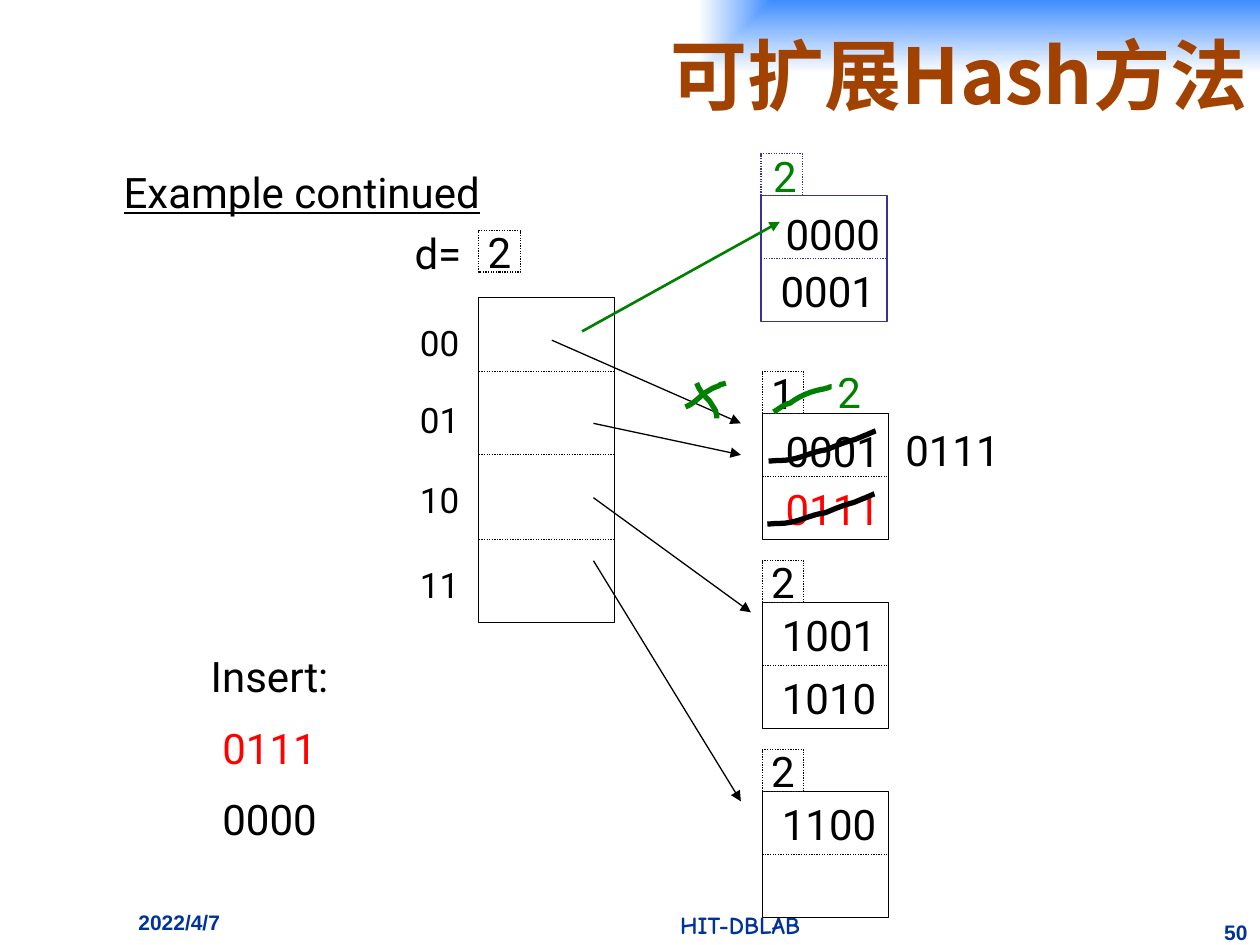
from dataclasses import dataclass

from lxml.etree import SubElement
from pptx import Presentation
from pptx.dml.color import RGBColor
from pptx.enum.dml import MSO_LINE
from pptx.enum.shapes import MSO_CONNECTOR, MSO_SHAPE
from pptx.enum.text import MSO_ANCHOR, MSO_AUTO_SIZE, PP_ALIGN
from pptx.oxml.ns import qn
from pptx.util import Inches, Pt


@dataclass(frozen=True)
class Theme:
    black: str = "000000"
    white: str = "FFFFFF"
    red: str = "FF0000"
    green: str = "008000"
    indigo: str = "333399"
    footer: str = "003399"
    title: str = "A24200"
    title_glow: str = "3F8DFF"
    font: str = "Roboto"
    title_font: str = "Noto Sans CJK SC"
    title_size: int = 44
    body_size: int = 24
    index_size: int = 20
    lab_size: int = 14
    footer_size: int = 12
    thin: float = 0.75
    arrow: float = 1.5
    pen: int = 3


theme = Theme()
prs = Presentation()
prs.slide_width, prs.slide_height = Inches(10), Inches(7.5)
slide = prs.slides.add_slide(prs.slide_layouts[5])
shapes = slide.shapes


def write(box, text, size=theme.body_size, colors=(theme.black,), font=theme.font,
          align=PP_ALIGN.CENTER, anchor=MSO_ANCHOR.MIDDLE, wrap=False,
          bold=False, underline=None, gap=0, spacing=()):
    """One paragraph per line of text; the last colour serves the remaining lines."""
    frame = box.text_frame
    frame.word_wrap, frame.vertical_anchor = wrap, anchor
    frame.auto_size = MSO_AUTO_SIZE.NONE
    for i, line in enumerate(text.split("\n")):
        paragraph = frame.add_paragraph() if i else frame.paragraphs[0]
        paragraph.alignment = align
        if i:
            paragraph.space_before = Pt(gap)
        if i < len(spacing):
            paragraph.line_spacing = spacing[i]
        run = paragraph.add_run()
        run.text = line
        run.font.size, run.font.name = Pt(size), font
        run.font.bold, run.font.underline = bold, underline
        run.font.color.rgb = RGBColor.from_string(colors[min(i, len(colors) - 1)])
        SubElement(run._r.get_or_add_rPr(), qn("a:ea"), typeface=font)


def connect(start, end, color=theme.black, width=theme.thin, arrow=False):
    """An arrow, or else a dotted divider."""
    line = shapes.add_connector(MSO_CONNECTOR.STRAIGHT, *map(Inches, start + end))
    line.line.color.rgb = RGBColor.from_string(color)
    line.line.width = Pt(width)
    if arrow:
        SubElement(line.line._get_or_add_ln(), qn("a:tailEnd"), type="triangle")
    else:
        line.line.dash_style = MSO_LINE.ROUND_DOT
    SubElement(line._element.spPr, qn("a:effectLst"))
    return line


# Title with a glow from the top right corner
title = shapes.title
title.left, title.top, title.width, title.height = map(Inches, (1.08, 0, 8.92, 1.17))
title.fill.gradient()
for stop, color, position in zip(title.fill.gradient_stops,
                                 (theme.title_glow, theme.white), (0, 1)):
    stop.color.rgb = RGBColor.from_string(color)
    stop.position = position
gradient = title._element.spPr.find(qn("a:gradFill"))
gradient.remove(gradient.find(qn("a:lin")))
glow = SubElement(gradient, qn("a:path"), {"path": "rect"})
SubElement(glow, qn("a:fillToRect"), l="100000", b="100000")
write(title, "可扩展Hash方法", size=theme.title_size, colors=(theme.title,),
      font=theme.title_font, align=PP_ALIGN.RIGHT, wrap=True, bold=True)

# Footer
for text, place, size, font, align in (
    ("2022/4/7", (1, 7.17, 1.75, 0.33), theme.footer_size, "Arial", PP_ALIGN.LEFT),
    ("HIT-DBLAB", (3.5, 7.17, 4.75, 0.33), theme.lab_size, "Comic Neue", PP_ALIGN.CENTER),
    ("50", (9.58, 7.25, 0.42, 0.25), theme.footer_size, "Arial", PP_ALIGN.RIGHT),
):
    write(shapes.add_textbox(*map(Inches, place)), text, size=size, font=font,
          colors=(theme.footer,), align=align, anchor=MSO_ANCHOR.TOP,
          wrap=True, bold=True)

# Directory and buckets, each with its depth tag: left, top, width, height, tag top
TAG = 0.33
tables = (
    (3.8, 2.36, 1.08, 2.58, 1.83, "2", theme.black),
    (6.04, 1.55, 1, 1, 1.22, "", theme.indigo),
    (6.05, 3.28, 1, 1, 2.95, "1", theme.black),
    (6.05, 4.78, 1, 1, 4.45, "2", theme.black),
    (6.05, 6.28, 1, 1, 5.95, "2", theme.black),
)
for left, top, width, height, tag_top, depth, color in tables:
    table = shapes.add_shape(MSO_SHAPE.RECTANGLE, *map(Inches, (left, top, width, height)))
    tag = shapes.add_shape(MSO_SHAPE.RECTANGLE, *map(Inches, (left, tag_top, TAG, TAG)))
    for outline in (table, tag):
        outline.shadow.inherit = False
        outline.fill.solid()
        outline.fill.fore_color.rgb = RGBColor.from_string(theme.white)
        outline.line.color.rgb = RGBColor.from_string(color)
        outline.line.width = Pt(theme.thin)
    tag.line.dash_style = MSO_LINE.ROUND_DOT
    if depth:
        write(tag, depth)
    if height == 1:
        middle = top + height / 2
        divider = connect((left, middle), (left + width, middle), color)
        divider.begin_connect(table, 1)
        divider.end_connect(table, 3)
for row_top in (2.95, 3.61, 4.28):
    connect((3.8, row_top), (4.88, row_top))

# Bucket keys
for key, left, top, color in (
    ("0000", 6.08, 1.6, theme.black),
    ("0001", 6.04, 2.05, theme.black),
    ("0001", 6.08, 3.32, theme.black),
    ("0111", 6.08, 3.78, theme.red),
    ("0111", 7.03, 3.31, theme.black),
    ("1001", 6.05, 4.78, theme.black),
    ("1010", 6.05, 5.28, theme.black),
    ("1100", 6.05, 6.28, theme.black),
):
    write(shapes.add_textbox(*map(Inches, (left, top, 1.06, 0.51))), key, colors=(color,))

# Captions, directory index and new depths
for text, place, style in (
    ("Example continued", (0.68, 1.27, 3.43, 0.51), {"underline": True}),
    ("d=", (3.13, 1.75, 0.69, 0.51), {}),
    ("Insert:\n0111\n0000", (1.46, 5.07, 1.36, 1.72),
     {"colors": (theme.black, theme.red, theme.black), "gap": 12}),
    ("00\n01\n10\n11", (3.21, 2.45, 0.56, 2.46),
     {"size": theme.index_size, "gap": 10, "spacing": (1.0, 1.4, 1.5, 1.6)}),
    ("2", (6.02, 1.14, 0.42, 0.51), {"colors": (theme.green,)}),
    ("2", (6.53, 2.85, 0.42, 0.51), {"colors": (theme.green,)}),
):
    write(shapes.add_textbox(*map(Inches, place)), text, **style)

# Pointers from the directory to the buckets
for start, end in (
    ((4.38, 2.7), (5.88, 3.36)),
    ((4.71, 3.36), (5.88, 3.61)),
    ((4.71, 3.95), (5.96, 4.86)),
    ((4.71, 4.45), (5.88, 6.36)),
):
    connect(start, end, arrow=True)
connect((4.62, 2.63), (6.19, 1.76), theme.green, theme.arrow, arrow=True)

# Pen strokes: Bezier control points, three for each curve after the start
key_strike = ((0, 0.24), (0.12, 0.23), (0.12, 0.24), (0.21, 0.22), (0.29, 0.2),
              (0.37, 0.16), (0.46, 0.15), (0.53, 0.12), (0.6, 0.09), (0.68, 0.07),
              (0.71, 0.06), (0.75, 0.04), (0.78, 0.03), (0.8, 0.02), (0.85, 0), (0.85, 0))
cross_rising = ((0, 0.19), (0.08, 0.16), (0.12, 0.09), (0.2, 0.05), (0.23, 0.03),
                (0.26, 0.03), (0.28, 0.01), (0.3, 0.01), (0.32, 0), (0.32, 0))
cross_falling = ((0, 0), (0.02, 0.06), (0.06, 0.1), (0.1, 0.14), (0.12, 0.17),
                 (0.15, 0.22), (0.15, 0.22), (0.16, 0.27), (0.16, 0.25), (0.16, 0.28))
depth_strike = ((0, 0.2), (0.05, 0.17), (0.08, 0.14), (0.13, 0.13), (0.21, 0.07),
                (0.29, 0.04), (0.38, 0.02), (0.4, 0.02), (0.41, 0.01), (0.43, 0.01),
                (0.44, 0), (0.46, 0), (0.46, 0))
STEPS = 6
for controls, left, top, color in (
    (key_strike, 6.1, 3.42, theme.black),
    (key_strike, 6.09, 3.92, theme.black),
    (cross_rising, 5.44, 3.04, theme.green),
    (cross_falling, 5.53, 3.04, theme.green),
    (depth_strike, 6.14, 3.07, theme.green),
):
    points = [(Inches(left + x), Inches(top + y)) for x, y in controls]
    curve = []
    for first in range(0, len(points) - 1, 3):
        for step in range(1, STEPS + 1):
            t = step / STEPS
            weights = ((1 - t) ** 3, 3 * t * (1 - t) ** 2, 3 * t ** 2 * (1 - t), t ** 3)
            curve.append(tuple(
                round(sum(w * p[axis] for w, p in zip(weights, points[first:first + 4])))
                for axis in (0, 1)))
    builder = shapes.build_freeform(*points[0])
    builder.add_line_segments(curve, close=False)
    stroke = builder.convert_to_shape()
    stroke.shadow.inherit = False
    stroke.fill.background()
    stroke.line.color.rgb = RGBColor.from_string(color)
    stroke.line.width = Pt(theme.pen)

prs.save("out.pptx")
